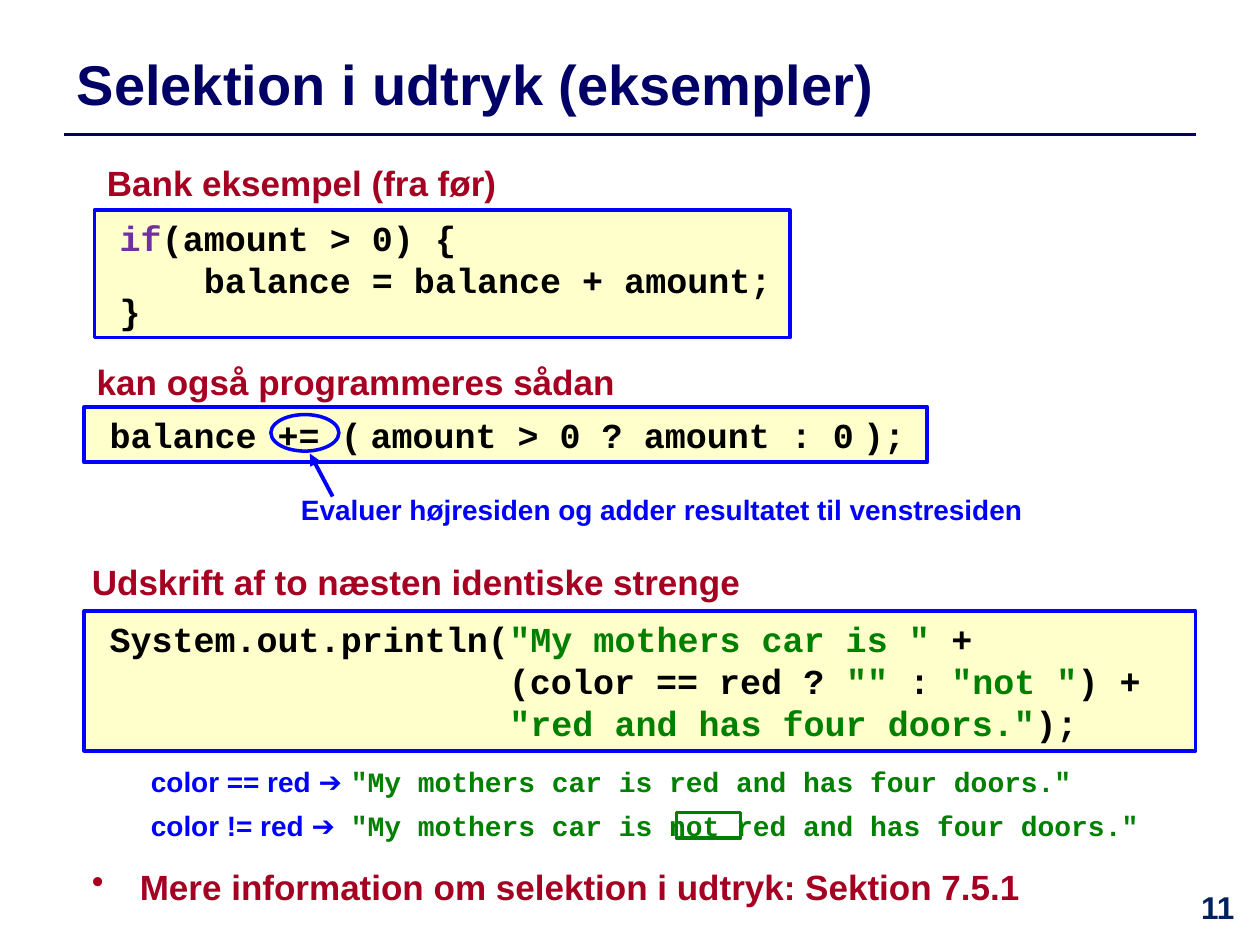
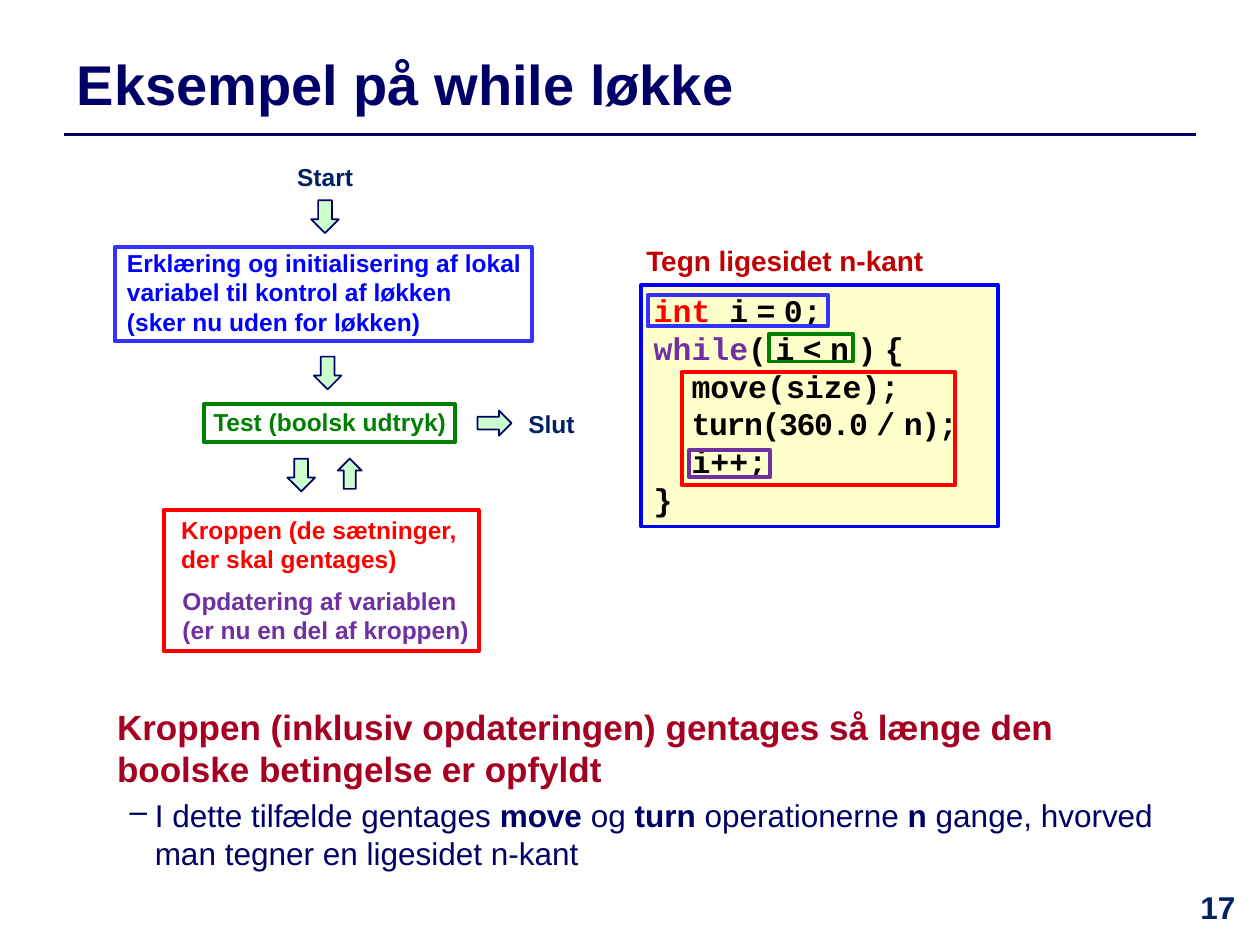
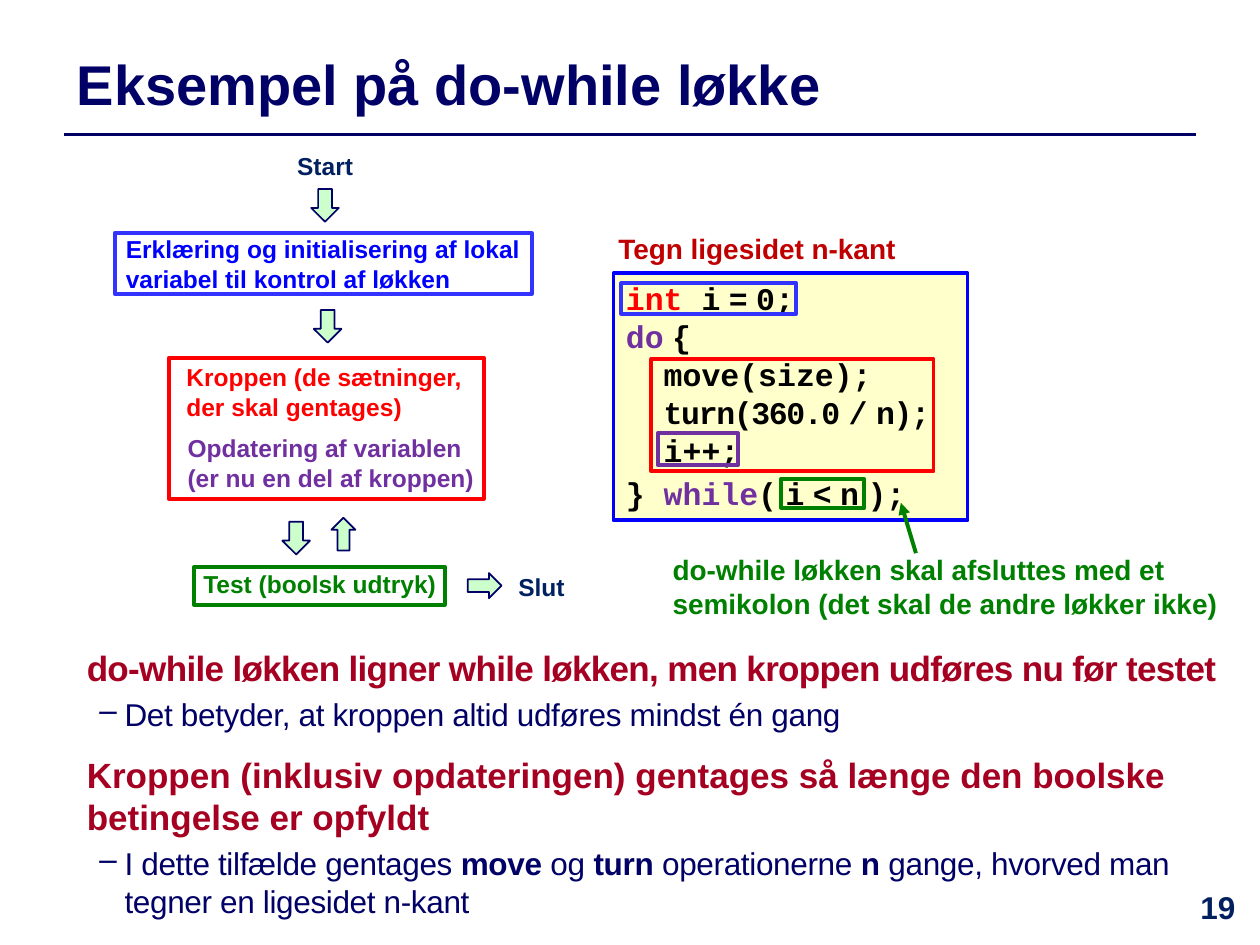
from dataclasses import dataclass, replace

from lxml.etree import SubElement
from pptx import Presentation
from pptx.dml.color import RGBColor
from pptx.enum.shapes import MSO_CONNECTOR as Connector, MSO_SHAPE as Preset
from pptx.enum.text import MSO_ANCHOR as Anchor, MSO_AUTO_SIZE as AutoSize, PP_ALIGN as Align
from pptx.oxml.ns import qn
from pptx.util import Pt


@dataclass(frozen=True)
class Theme:
    navy: str = "000066"
    ink: str = "002060"
    crimson: str = "A50021"
    brick: str = "C00000"
    blue: str = "0000FF"
    frame_blue: str = "3333FF"
    green: str = "008000"
    purple: str = "7030A0"
    red: str = "FF0000"
    black: str = "000000"
    code_fill: str = "FFFFCC"
    arrow_fill: str = "CCFFCC"
    sans: str = "Arial"
    mono: str = "Courier New"
    title: float = 32
    heading: float = 20
    body: float = 18
    note: float = 16
    label: float = 14
    gap: float = 8
    frame_width: float = 2.25


@dataclass(frozen=True)
class Style:
    size: float
    color: str
    font: str = Theme.sans
    bold: bool = True
    track: float = 0


@dataclass(frozen=True)
class Line:
    """One paragraph; each run is a string in the base style or a (text, style) pair."""
    style: Style
    runs: tuple
    before: float = 0
    spacing: float = 0
    bullet: str = ""
    indent: float = 0
    hang: float = 0
    tab: float = 0
    align: Align = Align.LEFT


T = Theme()
TITLE = Style(T.title, T.navy)
HEADING = Style(T.heading, T.crimson)
NUMBER = Style(T.body, T.ink)
BODY = Style(T.body, T.navy, bold=False)
TIGHT_BODY = replace(BODY, track=-0.2)
NOTE = Style(T.note, T.blue)
CODE = Style(T.heading, T.black, T.mono)
SMALL_CODE = replace(CODE, size=T.body)
TIGHT_CODE = replace(SMALL_CODE, track=-0.8)
STRING = replace(CODE, color=T.green)
OUTPUT = replace(STRING, size=T.note)
KEYWORD = replace(SMALL_CODE, color=T.purple)
TYPE = replace(SMALL_CODE, color=T.red)
THIN = "·"  # stands for a narrow gap in code


def line(style, *runs, **options):
    return Line(style, runs, **options)


def dash(style, *runs):
    return line(style, *runs, before=3.6, bullet="–", indent=21.6, hang=14.4)


def label(color, *rows):
    return [line(Style(T.label, color), row) for row in rows]


def repetition(style):
    strong = replace(style, bold=True)
    return dash(style, "I dette tilfælde gentages ", ("move", strong), " og ", ("turn", strong),
                " operationerne ", ("n", strong),
                " gange, hvorved man tegner en ligesidet n-kant")


REPEATS = "Kroppen (inklusiv opdateringen) gentages så længe den boolske betingelse er opfyldt"
DECLARES = "Erklæring og initialisering af lokal variabel til kontrol af løkken"

# Slide 1: headings, code boxes and remarks
SELECTION_HEADINGS = [
    ((54, 88.6, 244, 28), "Bank eksempel (fra før)"),
    ((48.2, 202.3, 420, 28), "kan også programmeres sådan"),
    ((45.4, 316.8, 457, 28), "Udskrift af to næsten identiske strenge"),
]
SELECTION_CODE = [
    ((54, 120.2, 397.4, 72.7), [
        line(CODE, ("if", replace(CODE, color=T.purple)), "(amount > 0) {"),
        line(CODE, "    balance = balance + amount;"),
        line(CODE, "}", spacing=0.7)]),
    ((48.2, 232.6, 481.7, 31.7), [
        line(CODE, "balance += (·amount > 0 ? amount : 0·);")]),
    ((48.2, 349.2, 635, 79.9), [
        line(CODE, "System.out.println(", ('"My mothers car is "', STRING), " +"),
        line(CODE, "                   (color == red ? ", ('""', STRING), " : ",
             ('"not "', STRING), ") +"),
        line(CODE, "                   ", ('"red and has four doors."', STRING), ");")]),
]
SELECTION_REMARKS = [
    ((164.9, 277.9, 483.8, 26.6), [
        line(NOTE, "Evaluer højresiden og adder resultatet til venstresiden")]),
    ((79.2, 433.4, 604, 51.8), [
        line(NOTE, "color == red ➔\t",
             ('"My mothers car is red and has four doors."', OUTPUT), tab=114.3),
        line(NOTE, "color != red ➔\t",
             ('"My mothers car is not red and has four doors."', OUTPUT), before=6, tab=114.3)]),
    ((45.4, 491, 623.5, 28), [
        line(HEADING, "Mere information om selektion i udtryk: Sektion 7.5.1",
             bullet="•", indent=27.4, hang=27.4)]),
]

# Slides 2 and 3: flow chart, code panel and conclusions
INITIAL = line(SMALL_CODE, ("int ", TYPE), "i·=·0;")
LOOP_BODY = [
    line(SMALL_CODE, "  move(size);"),
    line(SMALL_CODE, "  ", ("turn(360.0·/·n);", TIGHT_CODE)),
    line(SMALL_CODE, "  i++;"),
]
LOOPS = [
    dict(
        title="Eksempel på while løkke", number="17",
        start_top=89.3, declare=(65.5, 141.1, 54), declare_text=(65.5, 138.2),
        declare_rows=[DECLARES, "(sker nu uden for løkken)"],
        next_top=203.8, test=(116.6, 231.1), loop_body=(93.6, 291.6),
        down=(164.2, 262.1), up=(193, 262.1, 13.7, 17.3),
        panel=(366.5, 162.7, 203.8, 138.2),
        code=[INITIAL, line(SMALL_CODE, ("while", KEYWORD), "(·i·<·n·)·{"),
              *LOOP_BODY, line(SMALL_CODE, "}")],
        marks=[(T.frame_blue, (370.1, 168.5, 103, 18)), (T.green, (439.2, 190.8, 48.2, 15.8)),
               (T.purple, (393.8, 257, 46.1, 15.8)), (T.red, (389.5, 212.4, 156.2, 64.8))],
        conclusion=((59.8, 399.6, 623.5, 119.5), [line(HEADING, REPEATS), repetition(BODY)])),
    dict(
        title="Eksempel på do-while løkke", number="19",
        start_top=82.8, declare=(65.5, 133.2, 34.6), declare_text=(64.8, 130.3),
        declare_rows=[DECLARES],
        next_top=177.1, test=(110.9, 324), loop_body=(96.5, 204.5),
        down=(161.3, 298.1), up=(189.4, 295.9, 13.7, 18.7),
        panel=(350.6, 156.2, 202.3, 141.1),
        code=[INITIAL, line(SMALL_CODE, ("do", KEYWORD), "·{"), *LOOP_BODY,
              line(SMALL_CODE, "} ", ("while", KEYWORD), "(·i·<·n·);", before=3)],
        marks=[(T.frame_blue, (355, 162, 100.1, 17.3)), (T.green, (446.4, 273.6, 47.5, 16.6)),
               (T.purple, (375.8, 247.7, 46.1, 18)), (T.red, (372.2, 205.2, 161.3, 64.1))],
        conclusion=((42.5, 365.8, 668.9, 176.4), [
            line(replace(HEADING, track=-0.4),
                 "do-while løkken ligner while løkken, men kroppen udføres nu før testet"),
            dash(TIGHT_BODY, "Det betyder, at kroppen altid udføres mindst én gang"),
            line(HEADING, REPEATS, before=12),
            repetition(TIGHT_BODY)])),
]
SEMICOLON_NOTE = "do-while løkken skal afsluttes med et semikolon (det skal de andre løkker ikke)"


def rgb(value):
    return RGBColor.from_string(value)


def add_span(para, text, style):
    span = para.add_run()
    span.text = text
    font = span.font
    font.size, font.name, font.bold = Pt(style.size), style.font, style.bold
    font.color.rgb = rgb(style.color)
    if style.track:
        span._r.get_or_add_rPr().set("spc", str(round(style.track * 100)))


def add_code_spans(para, text, style):
    """Adds the text, with each thin mark turned into a small space."""
    for index, part in enumerate(text.split(THIN)):
        if index:
            add_span(para, " ", replace(style, size=T.gap))
        if part:
            add_span(para, part, style)


def write(frame, lines):
    for index, item in enumerate(lines):
        para = frame.add_paragraph() if index else frame.paragraphs[0]
        para.alignment = item.align
        if item.before:
            para.space_before = Pt(item.before)
        if item.spacing:
            para.line_spacing = item.spacing
        props = para._p.get_or_add_pPr()
        if item.bullet:
            props.set("marL", str(Pt(item.indent)))
            props.set("indent", str(-Pt(item.hang)))
            SubElement(props, qn("a:buChar"), char=item.bullet)
        if item.tab:
            stops = SubElement(props, qn("a:tabLst"))
            SubElement(stops, qn("a:tab"), pos=str(Pt(item.tab)), algn="l")
        for run in item.runs:
            text, style = (run, item.style) if isinstance(run, str) else run
            add_code_spans(para, text, style)


def add_text(page, place, lines):
    box = page.shapes.add_textbox(*map(Pt, place))
    box.text_frame.word_wrap = True
    write(box.text_frame, lines)


def add_preset(page, preset, place, color, width=T.frame_width, fill=None, rotation=0):
    shape = page.shapes.add_shape(preset, *map(Pt, place))
    shape.shadow.inherit = False
    shape.rotation = rotation
    shape.line.color.rgb = rgb(color)
    shape.line.width = Pt(width)
    if fill:
        shape.fill.solid()
        shape.fill.fore_color.rgb = rgb(fill)
    else:
        shape.fill.background()
    return shape


def add_frame(page, place, color, width=T.frame_width):
    add_preset(page, Preset.RECTANGLE, place, color, width)


def add_block_arrow(page, place, rotation=0):
    add_preset(page, Preset.UP_ARROW, place, T.navy, 1, T.arrow_fill, rotation)


def add_down_arrow(page, left, top):
    add_block_arrow(page, (left, top, 15.8, 18.7), 180)


def add_code(page, place, lines, inset=7.2, wrap=True):
    frame = add_preset(page, Preset.RECTANGLE, place, T.blue, fill=T.code_fill).text_frame
    frame.word_wrap, frame.auto_size = wrap, AutoSize.NONE
    frame.vertical_anchor = Anchor.TOP
    frame.margin_left = Pt(inset)
    write(frame, lines)


def add_line(page, start, end, color, width=T.frame_width, arrow=False):
    rule = page.shapes.add_connector(Connector.STRAIGHT, *map(Pt, start + end))
    rule.line.color.rgb = rgb(color)
    rule.line.width = Pt(width)
    if arrow:
        SubElement(rule.line._get_or_add_ln(), qn("a:tailEnd"), type="triangle")
    SubElement(rule._element.spPr, qn("a:effectLst"))


def add_page(deck, title, number):
    page = deck.slides.add_slide(deck.slide_layouts[5])
    add_line(page, (36.7, 77), (683.3, 77), T.navy, 2)
    head = page.shapes.title
    head.left, head.top, head.width, head.height = map(Pt, (36.7, 20.2, 646.6, 54))
    head.text_frame.vertical_anchor = Anchor.MIDDLE
    head.text_frame.auto_size = AutoSize.NONE
    write(head.text_frame, [line(TITLE, title)])
    add_text(page, (671.8, 504, 48.2, 36), [line(NUMBER, number, align=Align.CENTER)])
    return page


def add_selection_page(deck):
    page = add_page(deck, "Selektion i udtryk (eksempler)", "11")
    for place, lines in SELECTION_CODE:
        add_code(page, place, lines, inset=14.4, wrap=len(lines) == 1)
    for place, text in SELECTION_HEADINGS:
        add_text(page, place, [line(HEADING, text)])
    for place, lines in SELECTION_REMARKS:
        add_text(page, place, lines)
    add_line(page, (190.1, 283.7), (177.1, 259.2), T.blue, arrow=True)
    add_preset(page, Preset.OVAL, (154.8, 236.9, 38.9, 20.9), T.blue, 2)
    add_frame(page, (386.6, 464.4, 36.7, 14.4), T.green, 2)


def add_flow(page, loop):
    add_text(page, (162.7, loop["start_top"], 49.7, 24.5), label(T.ink, "Start"))
    add_down_arrow(page, 177.8, loop["start_top"] + 25.2)

    left, top, height = loop["declare"]
    add_text(page, (*loop["declare_text"], 244, height + 5), label(T.blue, *loop["declare_rows"]))
    add_frame(page, (left, top, 238.3, height), T.frame_blue)
    add_down_arrow(page, 179.3, loop["next_top"])

    left, top = loop["test"]
    add_text(page, (left - 1.8, top - 2.2, 148.3, 24.5), label(T.green, "Test (boolsk udtryk)"))
    add_frame(page, (left, top, 143.3, 21.6), T.green)
    add_block_arrow(page, (left + 158.8, top + 1, 14.4, 19.4), 90)
    add_text(page, (left + 178.2, top - 0.7, 41, 24.5), label(T.ink, "Slut"))

    left, top = loop["loop_body"]
    add_text(page, (left + 2.9, top - 1, 182.2, 41),
             label(T.red, "Kroppen (de sætninger, der skal gentages)"))
    add_text(page, (left + 3.6, top + 39.6, 182.2, 41),
             label(T.purple, "Opdatering af variablen (er nu en del af kroppen)"))
    add_frame(page, (left, top, 180, 80.6), T.red)
    add_down_arrow(page, *loop["down"])
    add_block_arrow(page, loop["up"])


def add_loop_page(deck, loop):
    page = add_page(deck, loop["title"], loop["number"])
    add_flow(page, loop)
    left, top, *_ = loop["panel"]
    add_text(page, (left - 4.3, top - 27.3, 190, 26.6),
             [line(replace(NOTE, color=T.brick), "Tegn ligesidet n-kant")])
    add_code(page, loop["panel"], loop["code"])
    for color, place in loop["marks"]:
        add_frame(page, place, color)
    add_text(page, *loop["conclusion"])
    return page


def main():
    deck = Presentation()
    deck.slide_width, deck.slide_height = Pt(720), Pt(540)
    add_selection_page(deck)
    pages = [add_loop_page(deck, loop) for loop in LOOPS]
    add_text(pages[-1], (377.3, 312.5, 334.1, 46.1),
             [line(replace(NOTE, color=T.green), SEMICOLON_NOTE)])
    add_line(pages[-1], (523.4, 316.1), (514.8, 287.3), T.green, arrow=True)
    deck.save("out.pptx")


if __name__ == "__main__":
    main()
